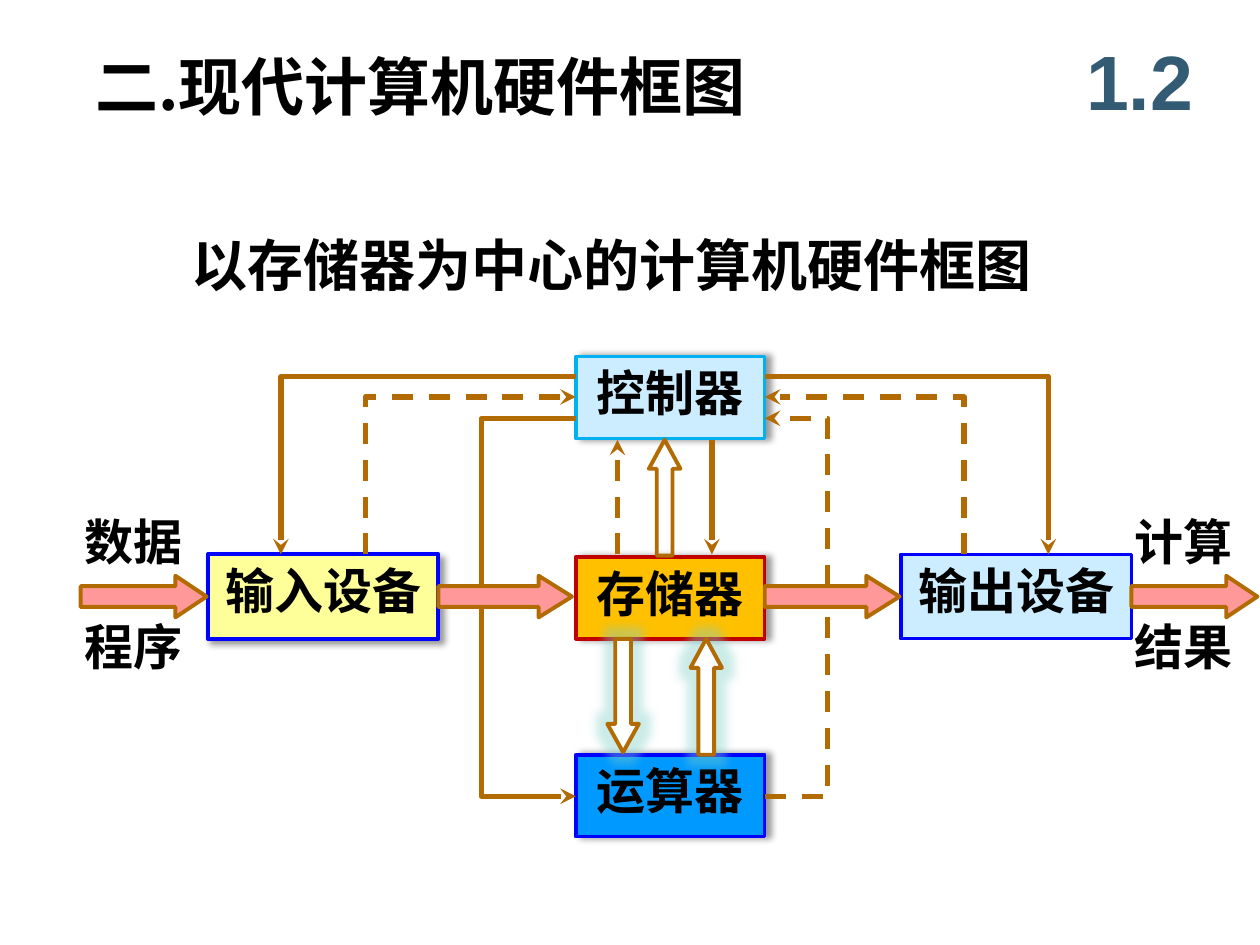
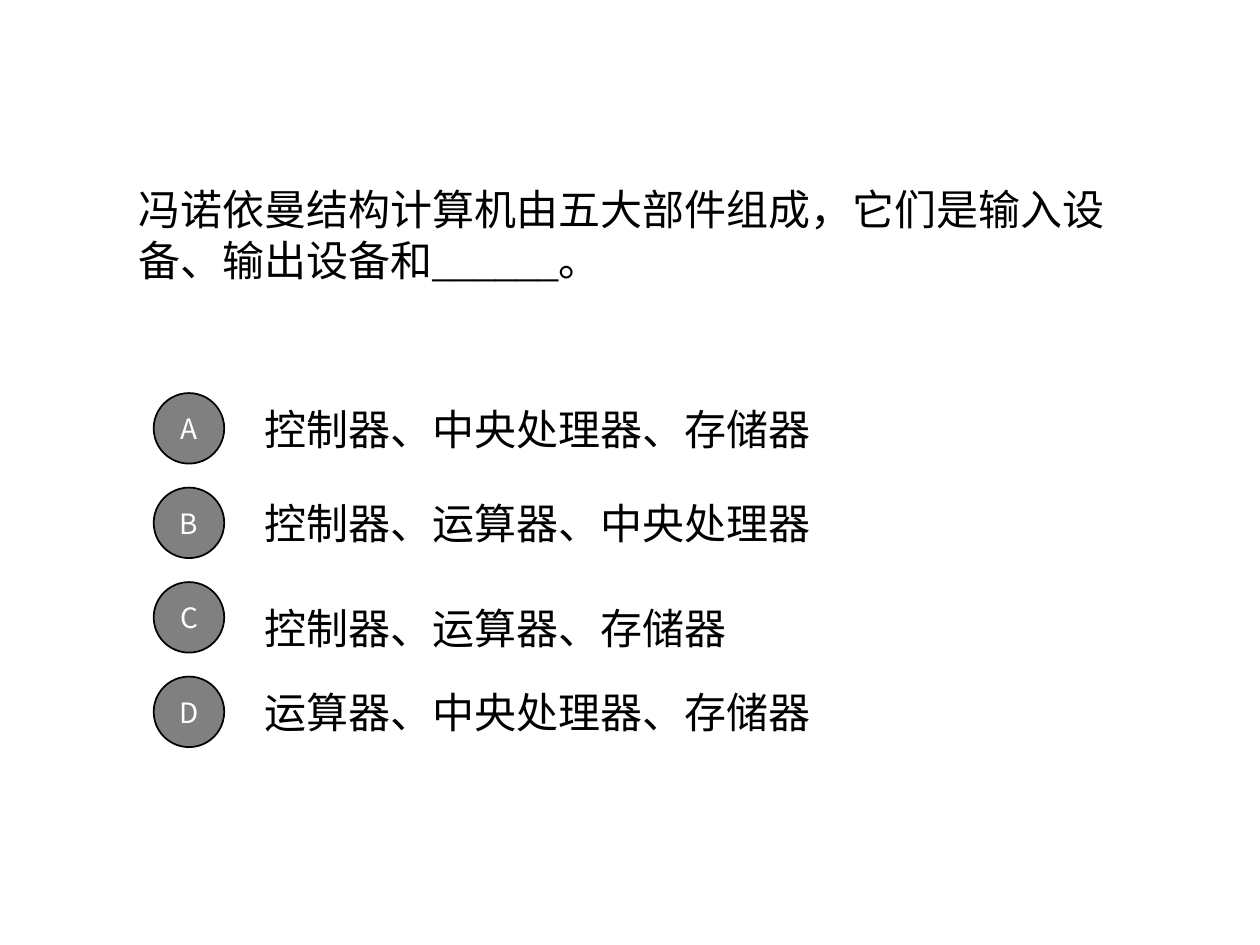
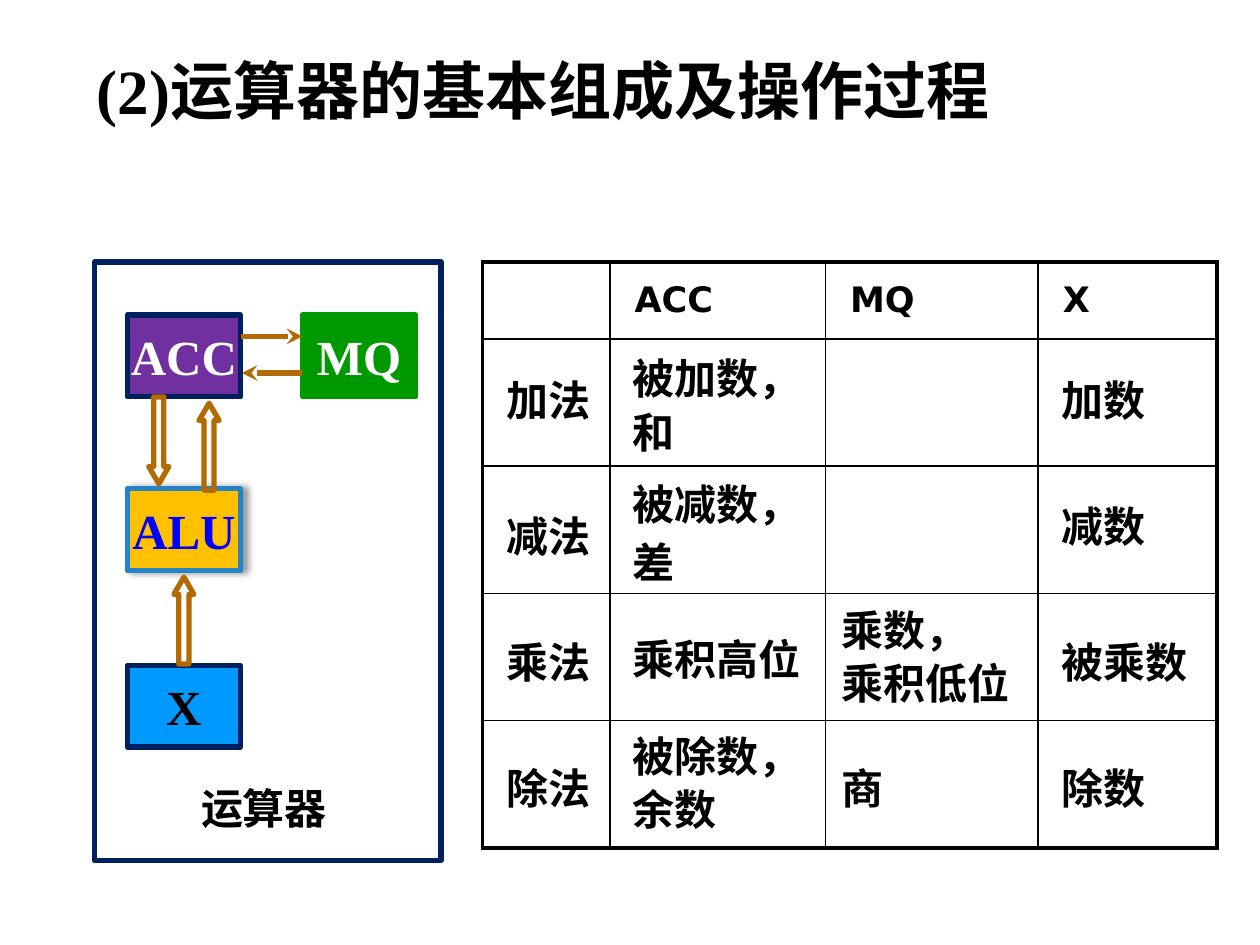
from lxml import etree
from pptx import Presentation
from pptx.dml.color import RGBColor
from pptx.enum.dml import MSO_LINE
from pptx.enum.shapes import MSO_CONNECTOR, MSO_SHAPE
from pptx.enum.text import MSO_ANCHOR, PP_ALIGN
from pptx.oxml.ns import qn
from pptx.util import Inches, Pt

RECT, OVAL = MSO_SHAPE.RECTANGLE, MSO_SHAPE.OVAL
RIGHT_ARROW, UP_ARROW = MSO_SHAPE.RIGHT_ARROW, MSO_SHAPE.UP_ARROW
STRAIGHT, DASH = MSO_CONNECTOR.STRAIGHT, MSO_LINE.DASH
LEFT, CENTER = PP_ALIGN.LEFT, PP_ALIGN.CENTER
TOP, MIDDLE = MSO_ANCHOR.TOP, MSO_ANCHOR.MIDDLE

BLACK = RGBColor(0x00, 0x00, 0x00)
WHITE = RGBColor(0xFF, 0xFF, 0xFF)
GRAY = RGBColor(0x80, 0x80, 0x80)
SLATE = RGBColor(0x33, 0x5B, 0x74)
BROWN = RGBColor(0xB2, 0x6B, 0x02)
PINK = RGBColor(0xFF, 0x99, 0x99)
AMBER = RGBColor(0xFF, 0xC0, 0x00)
RED = RGBColor(0xC0, 0x00, 0x00)
PALE_BLUE = RGBColor(0xCC, 0xEC, 0xFF)
PALE_YELLOW = RGBColor(0xFF, 0xFF, 0x99)
BLUE = RGBColor(0x00, 0x00, 0xFF)
SKY = RGBColor(0x00, 0xB0, 0xF0)
AZURE = RGBColor(0x00, 0x99, 0xFF)
STEEL = RGBColor(0x26, 0x83, 0xC6)
NAVY = RGBColor(0x00, 0x20, 0x60)
GREEN = RGBColor(0x00, 0x99, 0x00)
PURPLE = RGBColor(0x70, 0x30, 0xA0)
TEAL = RGBColor(0x7E, 0xD0, 0xC8)

SANS = "Noto Sans CJK SC"
SERIF = "Times New Roman"
ARIAL = "Arial"
DEJAVU = "DejaVu Sans"


class Deck:
    """Holds the shared style and the slide being built."""

    def __init__(self):
        self.prs = Presentation()
        self.prs.slide_width, self.prs.slide_height = Inches(10), Inches(7.5)
        self.shapes = None

    def new_slide(self):
        self.shapes = self.prs.slides.add_slide(self.prs.slide_layouts[6]).shapes

    def fill_text(self, frame, text, size, font=SERIF, color=BLACK, bold=True, align=LEFT):
        paragraph = frame.paragraphs[0]
        paragraph.alignment = align
        parts = text if isinstance(text, list) else [(text, font)]
        for words, _ in parts:
            paragraph.add_run().text = words
        targets = [paragraph] if len(parts) == 1 else paragraph.runs
        for target, (_, face) in zip(targets, parts):
            style = target.font
            style.size, style.bold, style.name = Pt(size), bold, face
            style.color.rgb = color
        # East Asian glyphs use the sans face throughout
        for latin in paragraph._p.findall(".//" + qn("a:latin")):
            east = etree.Element(qn("a:ea"))
            east.set("typeface", SANS)
            latin.addnext(east)

    def text(self, box, text, size, anchor=TOP, wrap=True, inset=True, **style):
        frame = self.shapes.add_textbox(*map(Inches, box)).text_frame
        frame.word_wrap, frame.vertical_anchor = wrap, anchor
        if not inset:
            self.no_insets(frame)
        self.fill_text(frame, text, size, **style)

    def title(self, left, top, width, text):
        self.text((left, top, width, 0.7), text, 36)

    @staticmethod
    def no_insets(frame):
        frame.margin_left = frame.margin_right = 0
        frame.margin_top = frame.margin_bottom = 0

    def shape(self, kind, box, fill=None, line=BLACK, weight=1):
        shape = self.shapes.add_shape(kind, *map(Inches, box))
        self.paint(shape, fill, line, weight)
        return shape

    @staticmethod
    def paint(shape, fill, line, weight):
        shape.shadow.inherit = False
        if fill is None:
            shape.fill.background()
        else:
            shape.fill.solid()
            shape.fill.fore_color.rgb = fill
        shape.line.color.rgb = line
        shape.line.width = Pt(weight)

    @staticmethod
    def effect(shape, tag, color, **attributes):
        effects = shape._element.spPr.find(qn("a:effectLst"))
        node = etree.SubElement(effects, qn(tag))
        for key, value in attributes.items():
            node.set(key, str(value))
        tint = etree.SubElement(node, qn("a:srgbClr"))
        tint.set("val", str(color))
        etree.SubElement(tint, qn("a:alpha")).set("val", "40000")

    def unit(self, box, text, fill, line, weight=2, shadow=None, inset=True, **style):
        """A labelled hardware block; shadow is its direction in degrees."""
        block = self.shape(RECT, box, fill, line, weight)
        if shadow is not None:
            self.effect(block, "a:outerShdw", BLACK, blurRad=Pt(4), dist=Pt(3),
                        dir=shadow * 60000, algn="tl", rotWithShape=0)
        frame = block.text_frame
        frame.vertical_anchor = TOP if inset else MIDDLE
        if not inset:
            self.no_insets(frame)
        self.fill_text(frame, text, 28, align=CENTER, **style)

    def arrow(self, kind, box, head, fill=None, weight=2.25, down=False, glow=False):
        arrow = self.shape(kind, box, fill, BROWN, weight)
        arrow.adjustments[0], arrow.adjustments[1] = 0.5, head
        if down:
            arrow.rotation = 180
        if glow:
            self.effect(arrow, "a:glow", TEAL, rad=Pt(11))

    def finish_line(self, shape, dashed, head):
        shape.line.color.rgb = BROWN
        shape.line.width = Pt(3)
        if dashed:
            shape.line.dash_style = DASH
        if head:
            ln = shape._element.spPr.find(qn("a:ln"))
            etree.SubElement(ln, qn("a:tailEnd")).set("type", "stealth")

    def line(self, start, end, dashed=False, head=True):
        line = self.shapes.add_connector(STRAIGHT, *map(Inches, start + end))
        self.finish_line(line, dashed, head)
        etree.SubElement(line._element.spPr, qn("a:effectLst"))

    def route(self, points, dashed=False, head=True):
        """A bent signal line through the given points."""
        corners = [(Inches(x), Inches(y)) for x, y in points]
        builder = self.shapes.build_freeform(*corners[0])
        builder.add_line_segments(corners[1:], close=False)
        route = builder.convert_to_shape()
        self.paint(route, None, BROWN, 3)
        self.finish_line(route, dashed, head)

    def table(self, left, top, widths, heights, header):
        rows, cols = len(heights), len(widths)
        table = self.shapes.add_table(rows, cols, Inches(left), Inches(top),
                                      Inches(sum(widths)), Inches(sum(heights))).table
        table.first_row = table.horz_banding = False
        for column, width in zip(table.columns, widths):
            column.width = Inches(width)
        for row, height in zip(table.rows, heights):
            row.height = Inches(height)
        for r in range(rows):
            for c in range(cols):
                cell = table.cell(r, c)
                cell.fill.background()
                self.borders(cell, L=c == 0, R=c == cols - 1, T=r == 0, B=r == rows - 1)
        for c, text in enumerate(header):
            if text:
                cell = table.cell(0, c)
                cell.vertical_anchor = MIDDLE
                self.fill_text(cell.text_frame, text, 20, font=DEJAVU)

    @staticmethod
    def borders(cell, **outer_sides):
        properties = cell._tc.get_or_add_tcPr()
        for place, (side, outer) in enumerate(outer_sides.items()):
            ln = etree.Element(qn("a:ln" + side))
            ln.set("w", str(Pt(2.25 if outer else 1)))
            fill = etree.SubElement(ln, qn("a:solidFill"))
            etree.SubElement(fill, qn("a:srgbClr")).set("val", str(BLACK))
            properties.insert(place, ln)


def hardware_diagram(deck):
    deck.new_slide()
    deck.title(0.66, 0.33, 6.34, [("二", SERIF), (".现代计算机硬件框图", SANS)])
    deck.text((8.42, 0.17, 1.25, 0.92), "1.2", 44, anchor=MIDDLE,
              font=ARIAL, color=SLATE, align=CENTER)
    deck.text((1.32, 1.78, 7.34, 0.63), " 以存储器为中心的计算机硬件框图", 32)

    # Hardware units
    core_left, core_right = 4.57, 6.07
    for top, name, fill, line in [(4.42, "存储器", AMBER, RED),
                                  (5.99, "运算器", AZURE, BLUE),
                                  (2.83, "控制器", PALE_BLUE, SKY)]:
        deck.unit((core_left, top, 1.5, 0.65), name, fill, line, shadow=0, font=SANS)
    deck.unit((7.15, 4.4, 1.83, 0.67), "输出设备", PALE_BLUE, BLUE, font=SANS)
    deck.unit((1.65, 4.4, 1.83, 0.67), "输入设备", PALE_YELLOW, BLUE, 2.25,
              shadow=45, font=SANS)

    # Data flow from left to right
    for left, width, head in [(0.64, 1, 0.75), (3.48, 1.06, 0.8),
                              (6.07, 1.07, 0.8), (8.98, 1, 0.75)]:
        deck.arrow(RIGHT_ARROW, (left, 4.57, width, 0.33), head, PINK)

    # Control and feedback signals
    deck.route([(3.82, 4.65), (3.82, 3.32), (core_left, 3.32)], head=False)
    deck.route([(3.82, 4.82), (3.82, 6.32), (core_left, 6.32)])
    deck.route([(core_right, 6.32), (6.57, 6.32), (6.57, 4.82)], dashed=True, head=False)
    deck.route([(6.57, 4.65), (6.57, 3.32), (core_right, 3.32)], dashed=True)
    for side, feedback_x, control_x in [(core_left, 2.9, 2.23), (core_right, 7.65, 8.32)]:
        deck.route([(feedback_x, 4.4), (feedback_x, 3.15), (side, 3.15)], dashed=True)
        deck.route([(side, 2.99), (control_x, 2.99), (control_x, 4.4)])
    deck.line((4.9, 4.4), (4.9, 3.49), dashed=True)
    deck.line((5.65, 3.49), (5.65, 4.4))

    # Exchange with the memory
    deck.arrow(UP_ARROW, (5.15, 3.49, 0.25, 0.92), 0.92)
    deck.arrow(UP_ARROW, (5.48, 5.07, 0.25, 0.92), 0.92, WHITE, glow=True)
    deck.arrow(UP_ARROW, (4.82, 5.07, 0.25, 0.9), 0.9, WHITE, down=True, glow=True)

    for left, above, below in [(0.57, "数据", "程序"), (8.9, "计算", "结果")]:
        for top, label in [(4.01, above), (4.84, below)]:
            deck.text((left, top, 0.98, 0.57), label, 28, wrap=False,
                      font=SANS, align=CENTER)


def quiz(deck):
    deck.new_slide()
    deck.text((1, 0.69, 8, 2.34),
              "冯诺依曼结构计算机由五大部件组成，它们是输入设备、输出设备和______。",
              24, anchor=MIDDLE, bold=False)
    options = [("A", 3.05, "控制器、中央处理器、存储器"),
               ("B", 3.8, "控制器、运算器、中央处理器"),
               ("C", 4.63, "控制器、运算器、存储器"),
               ("D", 5.3, "运算器、中央处理器、存储器")]
    for row, (letter, top, answer) in enumerate(options):
        deck.text((2, top, 7, 0.7), answer, 24, anchor=MIDDLE, bold=False)
        badge = deck.shape(OVAL, (1.22, 3.12 + 0.75 * row, 0.56, 0.56), GRAY)
        frame = badge.text_frame
        frame.word_wrap, frame.vertical_anchor = False, MIDDLE
        deck.fill_text(frame, letter, 16, font=SANS, color=WHITE, bold=False, align=CENTER)


def arithmetic_unit(deck):
    deck.new_slide()
    deck.table(3.83, 2.08, [1.01, 1.71, 1.69, 1.42], [0.61] + [1.01] * 4,
               ["", " ACC", " MQ", " X"])
    deck.title(0.67, 0.36, 7.99, "(2)运算器的基本组成及操作过程")

    # Registers and the adder
    deck.text((1.59, 6.21, 1.01, 0.4), "运算器", 24, wrap=False, inset=False,
              font=SANS, align=CENTER)
    for left, top, name, fill, line, color, shadow in [
            (2.4, 2.5, "MQ", GREEN, GREEN, WHITE, None),
            (1.01, 2.5, "ACC", PURPLE, NAVY, WHITE, None),
            (1.01, 3.88, "ALU", AMBER, STEEL, BLUE, 0),
            (1.01, 5.28, "X", AZURE, NAVY, BLACK, None)]:
        deck.unit((left, top, 0.9, 0.65), name, fill, line, 3, shadow,
                  inset=False, color=color)
    deck.shape(RECT, (0.75, 2.08, 2.75, 4.75), line=NAVY, weight=3)

    # Transfers
    for left, top, down in [(1.58, 3.2, False), (1.38, 4.58, False), (1.18, 3.15, True)]:
        deck.arrow(UP_ARROW, (left, top, 0.16, 0.69), 0.86, weight=3, down=down)
    deck.line((2.4, 2.96), (1.92, 2.96))
    deck.line((1.91, 2.67), (2.4, 2.67))

    # Operands by table column: left, width, then top and text
    columns = [
        (3.92, 1.25, [(2.92, "加法"), (4, "减法"), (5, "乘法"), (6, "除法")]),
        (4.92, 2, [(2.75, "被加数，"), (3.18, "和"), (3.75, "被减数，"), (4.21, "差"),
                   (4.98, "乘积高位"), (5.75, "被除数，"), (6.17, "余数")]),
        (6.58, 2, [(4.75, "乘数，"), (5.17, "乘积低位"), (6, "商")]),
        (8.33, 1.5, [(2.92, "加数"), (3.92, "减数"), (5, "被乘数"), (6, "除数")]),
    ]
    for left, width, operands in columns:
        for top, operand in operands:
            deck.text((left, top, width, 0.5), operand, 24)


def main():
    deck = Deck()
    hardware_diagram(deck)
    quiz(deck)
    arithmetic_unit(deck)
    deck.prs.save("out.pptx")


if __name__ == "__main__":
    main()
